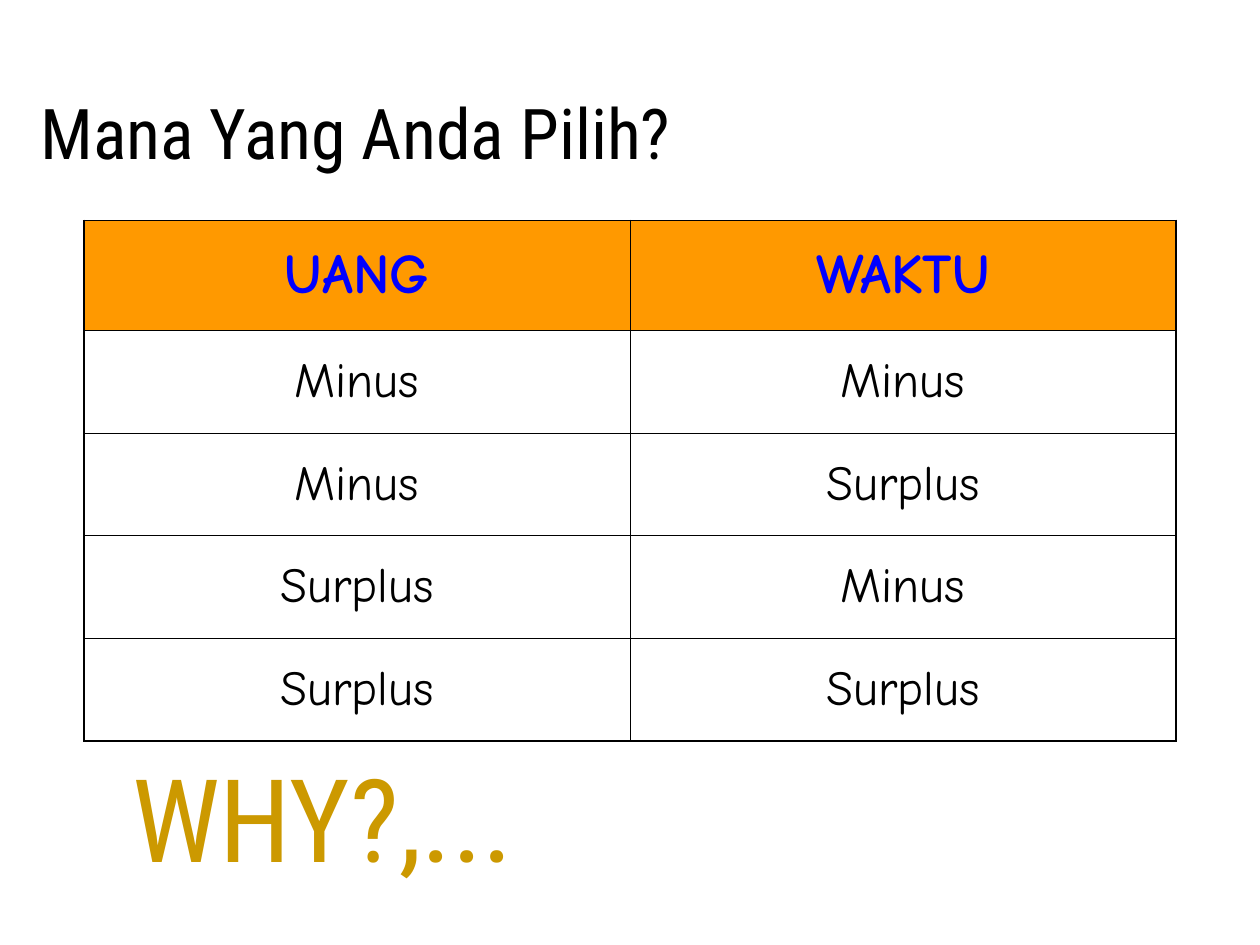
import pptx
import pptx.dml.color
import pptx.enum.text
import pptx.oxml
import pptx.oxml.ns
import pptx.util

Pt = pptx.util.Pt
RGBColor = pptx.dml.color.RGBColor
Anchor = pptx.enum.text.MSO_ANCHOR
Align = pptx.enum.text.PP_ALIGN
AutoSize = pptx.enum.text.MSO_AUTO_SIZE

BLACK = RGBColor(0x00, 0x00, 0x00)
BLUE = RGBColor(0x00, 0x00, 0xFF)
ORANGE = RGBColor(0xFF, 0x99, 0x00)
GOLD = RGBColor(0xCC, 0x99, 0x00)

CHOICES = [
    ("UANG", "WAKTU"),
    ("Minus", "Minus"),
    ("Minus", "Surplus"),
    ("Surplus", "Minus"),
    ("Surplus", "Surplus"),
]


class SlideBuilder:
    text_font = "Roboto Condensed"
    table_font = "Comic Neue"
    outer_line = Pt(1.08)
    inner_line = Pt(0.45)

    def __init__(self, presentation):
        self.slide = presentation.slides.add_slide(presentation.slide_layouts[6])

    def format_paragraph(self, paragraph, font, size, color, bold=False):
        for run in paragraph.runs:
            run.font.name = font
            run.font.size = Pt(size)
            run.font.bold = bold
            run.font.color.rgb = color

    def text(self, text, left, top, width, height, size, color, inset=7.2,
             anchor=Anchor.TOP, wrap=True, auto_size=AutoSize.NONE):
        shape = self.slide.shapes.add_textbox(Pt(left), Pt(top), Pt(width), Pt(height))
        text_frame = shape.text_frame
        text_frame.word_wrap = wrap
        text_frame.auto_size = auto_size
        text_frame.vertical_anchor = anchor
        text_frame.margin_left = Pt(inset)
        text_frame.text = text
        self.format_paragraph(text_frame.paragraphs[0], self.text_font, size, color)

    def border(self, cell, side, width):
        cell_properties = cell._tc.get_or_add_tcPr()
        cell_properties.append(pptx.oxml.parse_xml(
            f'<a:ln{side} {pptx.oxml.ns.nsdecls("a")} w="{int(width)}">'
            f'<a:solidFill><a:srgbClr val="{BLACK}"/></a:solidFill></a:ln{side}>'))

    def table(self, rows, left, top, column_width, header_height, row_height):
        row_count, column_count = len(rows), len(rows[0])
        shape = self.slide.shapes.add_table(
            row_count, column_count, Pt(left), Pt(top), Pt(column_width * column_count),
            Pt(header_height + row_height * (row_count - 1)))
        table = shape.table
        for column in table.columns:
            column.width = Pt(column_width)
        for row_index, values in enumerate(rows):
            header = row_index == 0
            table.rows[row_index].height = Pt(header_height if header else row_height)
            for column_index, value in enumerate(values):
                cell = table.cell(row_index, column_index)
                edges = {
                    "L": column_index == 0,
                    "R": column_index == column_count - 1,
                    "T": header,
                    "B": row_index == row_count - 1,
                }
                for side, is_outer in edges.items():
                    self.border(cell, side, self.outer_line if is_outer else self.inner_line)
                self.cell(cell, value, header)

    def cell(self, cell, value, header):
        if header:
            cell.fill.solid()
            cell.fill.fore_color.rgb = ORANGE
        else:
            cell.fill.background()
        cell.vertical_anchor = Anchor.MIDDLE
        cell.margin_left = cell.margin_right = Pt(9.36)
        cell.text_frame.text = value
        paragraph = cell.text_frame.paragraphs[0]
        paragraph.alignment = Align.CENTER
        self.format_paragraph(paragraph, self.table_font, 32 if header else 28,
                              BLUE if header else BLACK, header)


def main():
    presentation = pptx.Presentation()
    presentation.slide_width = Pt(720)
    presentation.slide_height = Pt(540)
    builder = SlideBuilder(presentation)
    builder.table(CHOICES, 48, 126, 312, 62.7, 58.7)
    builder.text("Mana Yang Anda Pilih?", 6, 36, 498, 78, 40, BLACK,
                 inset=17, anchor=Anchor.MIDDLE)
    builder.text("WHY?,...", 68.4, 423.4, 261.4, 86.4, 66, GOLD,
                 wrap=False, auto_size=AutoSize.SHAPE_TO_FIT_TEXT)
    presentation.save("out.pptx")


if __name__ == "__main__":
    main()
